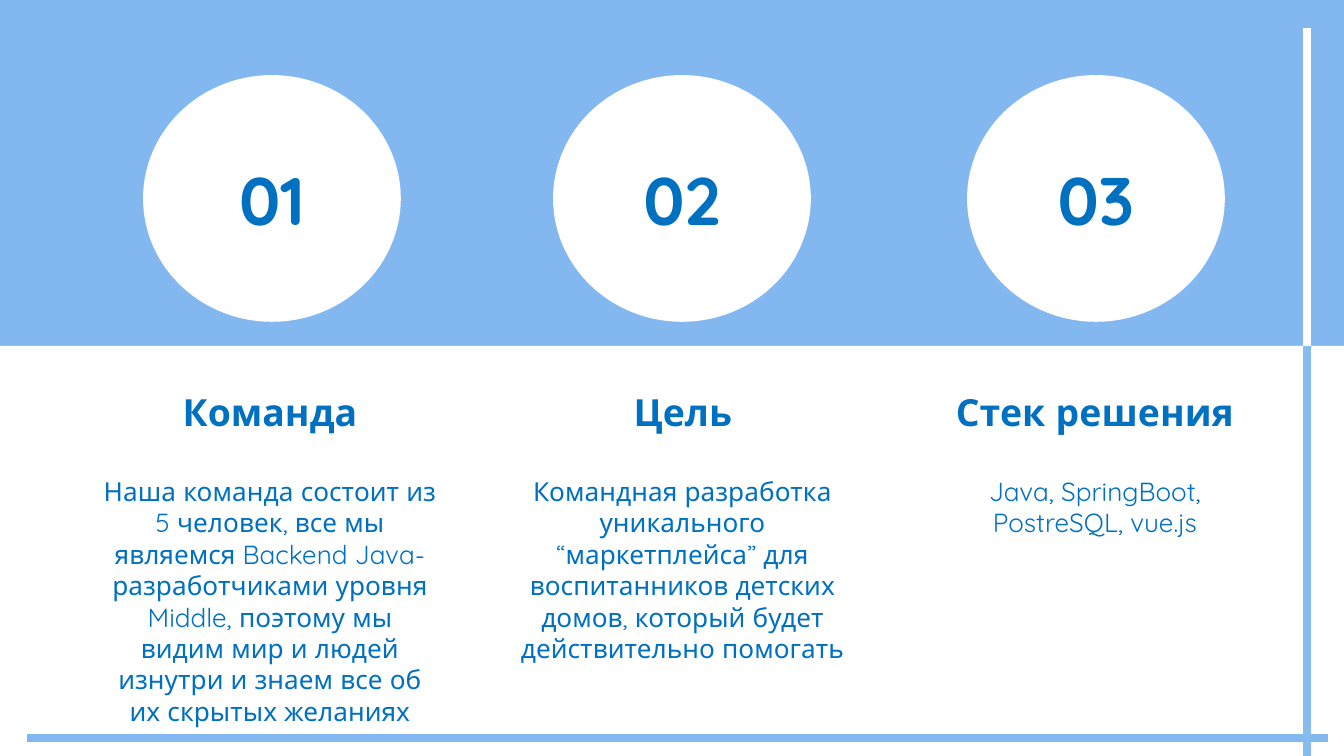
from dataclasses import dataclass

from lxml import etree
from pptx import Presentation
from pptx.dml.color import RGBColor
from pptx.enum import shapes, text
from pptx.oxml import ns
from pptx.util import Emu, Pt

SCALE = 914400 / 134.4


@dataclass(frozen=True)
class Theme:
    """Colours, font and type sizes of the slide."""
    sky: str = "83B7F0"
    pale: str = "86BDEE"
    white: str = "FFFFFF"
    ink: str = "0070C0"
    font: str = "Quicksand"
    number: int = 36
    title: int = 20
    body: int = 14
    rim: int = 2
    rule: int = 4


THEME = Theme()

# number, circle left, title, (left, width), body, (left, width, height)
COLUMNS = (
    ("01", 145, "Команда", (118, 304),
     "Наша команда состоит из 5 человек, все мы являемся Backend "
     "Java-разработчиками уровня Middle, поэтому мы видим мир и людей "
     "изнутри и знаем все об их скрытых желаниях", (90, 360, 276)),
    ("02", 555, "Цель", (531, 304),
     "Командная разработка уникального “маркетплейса” для воспитанников "
     "детских домов, который будет действительно помогать", (497, 371, 222)),
    ("03", 969, "Стек решения", (915, 360),
     "Java, SpringBoot, PostreSQL, vue.js", (943, 304, 181)),
)

RULES = (
    ((27, 738), (1328, 738), THEME.sky),
    ((1307, 28), (1307, 346), THEME.white),
    ((1307, 346), (1307, 756), THEME.pale),
)


def px(*values):
    """Turn pixel lengths into EMU."""
    return [Emu(round(value * SCALE)) for value in values]


def rgb(code):
    """Return the colour for a hex code."""
    return RGBColor.from_string(code)


def write(frame, words, size, bold, anchor):
    """Fill a text frame with one centred run."""
    frame.word_wrap = True
    frame.vertical_anchor = anchor
    para = frame.paragraphs[0]
    para.alignment = text.PP_ALIGN.CENTER
    run = para.add_run()
    run.text = words
    run.font.name = THEME.font
    run.font.size = Pt(size)
    run.font.bold = bold
    run.font.color.rgb = rgb(THEME.ink)


def add_form(slide, kind, box):
    """Add a white shape without a shadow or an outline."""
    form = slide.shapes.add_shape(kind, *px(*box))
    form.shadow.inherit = False
    form.fill.solid()
    form.fill.fore_color.rgb = rgb(THEME.white)
    form.line.fill.background()
    return form


def add_circle(slide, left, number):
    """Add a numbered circle."""
    disc = add_form(slide, shapes.MSO_SHAPE.OVAL, (left, 77, 254, 243))
    disc.line.color.rgb = rgb(THEME.white)
    disc.line.width = Pt(THEME.rim)
    write(disc.text_frame, number, THEME.number, True,
          text.MSO_ANCHOR.MIDDLE)


def add_label(slide, box, words, size, bold, anchor):
    """Add a text box with even insets."""
    frame = slide.shapes.add_textbox(*px(*box)).text_frame
    inset = Pt(7.2)
    frame.margin_left = frame.margin_right = inset
    frame.margin_top = frame.margin_bottom = inset
    write(frame, words, size, bold, anchor)


def add_rule(slide, start, end, color):
    """Add a straight line without a shadow."""
    rule = slide.shapes.add_connector(
        shapes.MSO_CONNECTOR.STRAIGHT, *px(*start, *end))
    rule.line.color.rgb = rgb(color)
    rule.line.width = Pt(THEME.rule)
    etree.SubElement(rule._element.spPr, ns.qn("a:effectLst"))


def main():
    """Build and save the slide."""
    deck = Presentation()
    deck.slide_width, deck.slide_height = px(1344, 756)
    slide = deck.slides.add_slide(deck.slide_layouts[6])
    slide.background.fill.solid()
    slide.background.fill.fore_color.rgb = rgb(THEME.sky)
    for number, left, *_ in COLUMNS:
        add_circle(slide, left, number)
    add_form(slide, shapes.MSO_SHAPE.RECTANGLE, (0, 346, 1344, 410))
    for _, _, title, (left, width), body, (start, span, height) in COLUMNS:
        add_label(slide, (left, 366, width, 81), title, THEME.title, True,
                  text.MSO_ANCHOR.BOTTOM)
        add_label(slide, (start, 462, span, height), body, THEME.body, False,
                  text.MSO_ANCHOR.TOP)
    for start, end, color in RULES:
        add_rule(slide, start, end, color)
    deck.save("out.pptx")


if __name__ == "__main__":
    main()
